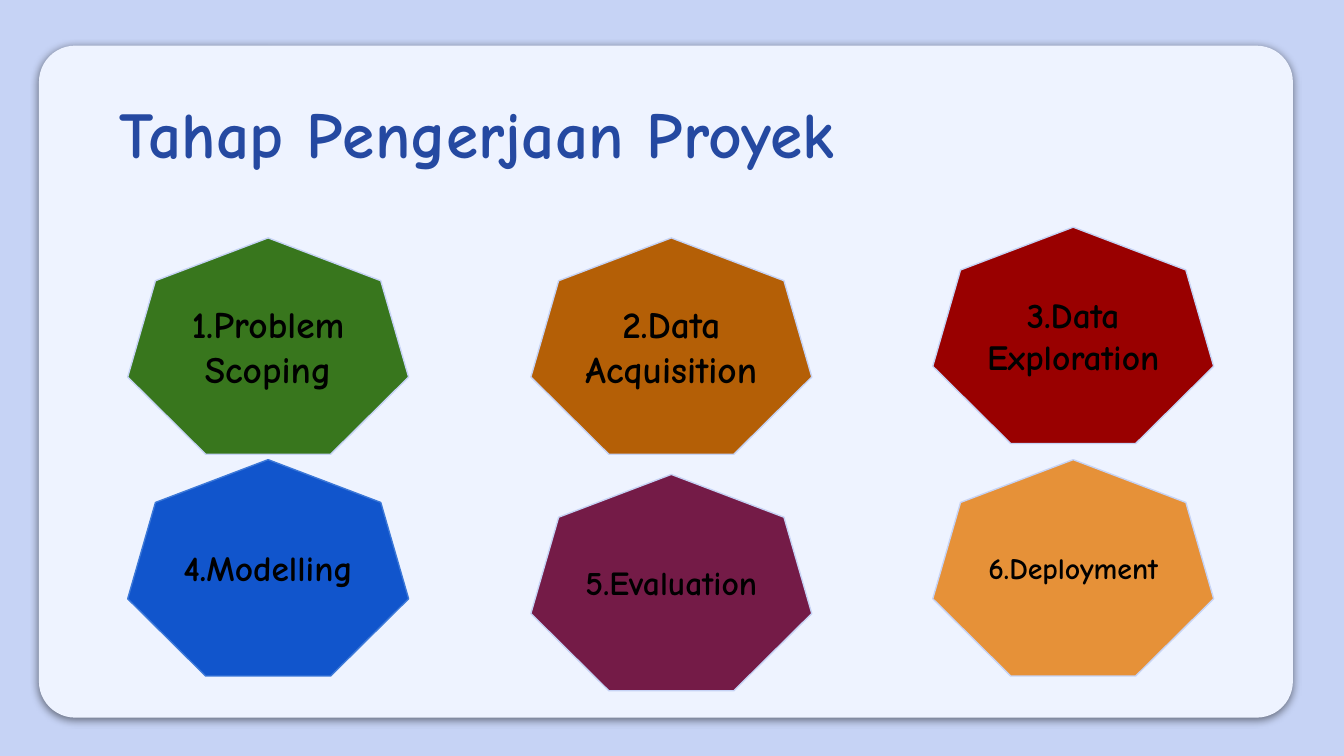
from lxml.etree import SubElement
from pptx import Presentation
from pptx.dml.color import RGBColor
from pptx.enum.shapes import MSO_SHAPE as Shape
from pptx.enum.text import MSO_ANCHOR as Anchor, MSO_AUTO_SIZE as AutoSize, PP_ALIGN as Align
from pptx.oxml.ns import qn
from pptx.util import Inches, Pt

COLORS = {
    "background": "C6D3F5",
    "card": "EEF3FF",
    "title": "2549A1",
    "text": "000000",
    "outline": "C6D3F5",
    "blue outline": "3C78D8",
    "green": "38761D",
    "brown": "B45F06",
    "red": "990000",
    "blue": "1155CC",
    "plum": "741B47",
    "orange": "E69138",
}
COLUMNS = (0.95, 3.95, 6.94)
STAGES = [
    ("1.Problem Scoping", 0, 1.77, 20, "green", "outline"),
    ("3.Data Exploration", 2, 1.69, 19, "red", "outline"),
    ("4.Modelling", 0, 3.42, 19, "blue", "blue outline"),
    ("5.Evaluation", 1, 3.53, 18, "plum", "outline"),
    ("2.Data Acquisition", 1, 1.77, 20, "brown", "outline"),
    ("6.Deployment", 2, 3.42, 16, "orange", "outline"),
]


def color(name):
    return RGBColor.from_string(COLORS[name])


class SlideBuilder:
    font = "Comic Neue"
    margin = Inches(0.1)

    def __init__(self, slide):
        self.slide = slide

    def background(self):
        fill = self.slide.background.fill
        fill.solid()
        fill.fore_color.rgb = color("background")

    def shape(self, kind, left, top, width, height, fill):
        shape = self.slide.shapes.add_shape(
            kind, Inches(left), Inches(top), Inches(width), Inches(height))
        shape.shadow.inherit = False
        shape.fill.solid()
        shape.fill.fore_color.rgb = color(fill)
        return shape

    def card(self, left, top, width, height):
        card = self.shape(Shape.ROUNDED_RECTANGLE, left, top, width, height, "card")
        card.adjustments[0] = 0.054
        card.line.fill.background()
        effects = card._element.spPr.find(qn("a:effectLst"))
        shadow = SubElement(effects, qn("a:outerShdw"), blurRad=str(Pt(4.5)),
                            dist=str(Pt(1.5)), dir="5400000",
                            algn="bl", rotWithShape="0")
        tint = SubElement(shadow, qn("a:srgbClr"), val="000000")
        SubElement(tint, qn("a:alpha"), val="50000")

    def text(self, shape, words, size, ink, align, anchor):
        frame = shape.text_frame
        frame.word_wrap = True
        frame.auto_size = AutoSize.NONE
        frame.vertical_anchor = anchor
        frame.margin_left = frame.margin_right = self.margin
        frame.margin_top = frame.margin_bottom = self.margin
        frame.text = words
        para = frame.paragraphs[0]
        para.alignment = align
        para.font.name = self.font
        para.font.size = Pt(size)
        para.font.bold = True
        para.font.color.rgb = color(ink)

    def title(self, words):
        title = self.slide.shapes.title
        title.left, title.top = Inches(0.79), Inches(0.59)
        title.width, title.height = Inches(8.43), Inches(0.63)
        self.text(title, words, 35, "title", Align.LEFT, Anchor.TOP)
        self.slide.shapes._spTree.append(title._element)

    def stage(self, words, column, top, size, fill, outline):
        heptagon = self.shape(Shape.HEPTAGON, COLUMNS[column], top, 2.09, 1.61, fill)
        heptagon.line.color.rgb = color(outline)
        heptagon.line.width = Pt(0.75)
        self.text(heptagon, words, size, "text", Align.CENTER, Anchor.MIDDLE)


def main():
    deck = Presentation()
    deck.slide_width = Inches(10)
    deck.slide_height = deck.slide_width * 9 // 16
    page = SlideBuilder(deck.slides.add_slide(deck.slide_layouts[5]))
    page.background()
    page.card(0.29, 0.34, 9.33, 5)
    for stage in STAGES:
        page.stage(*stage)
    page.title("Tahap Pengerjaan Proyek")
    deck.save("out.pptx")


if __name__ == "__main__":
    main()
